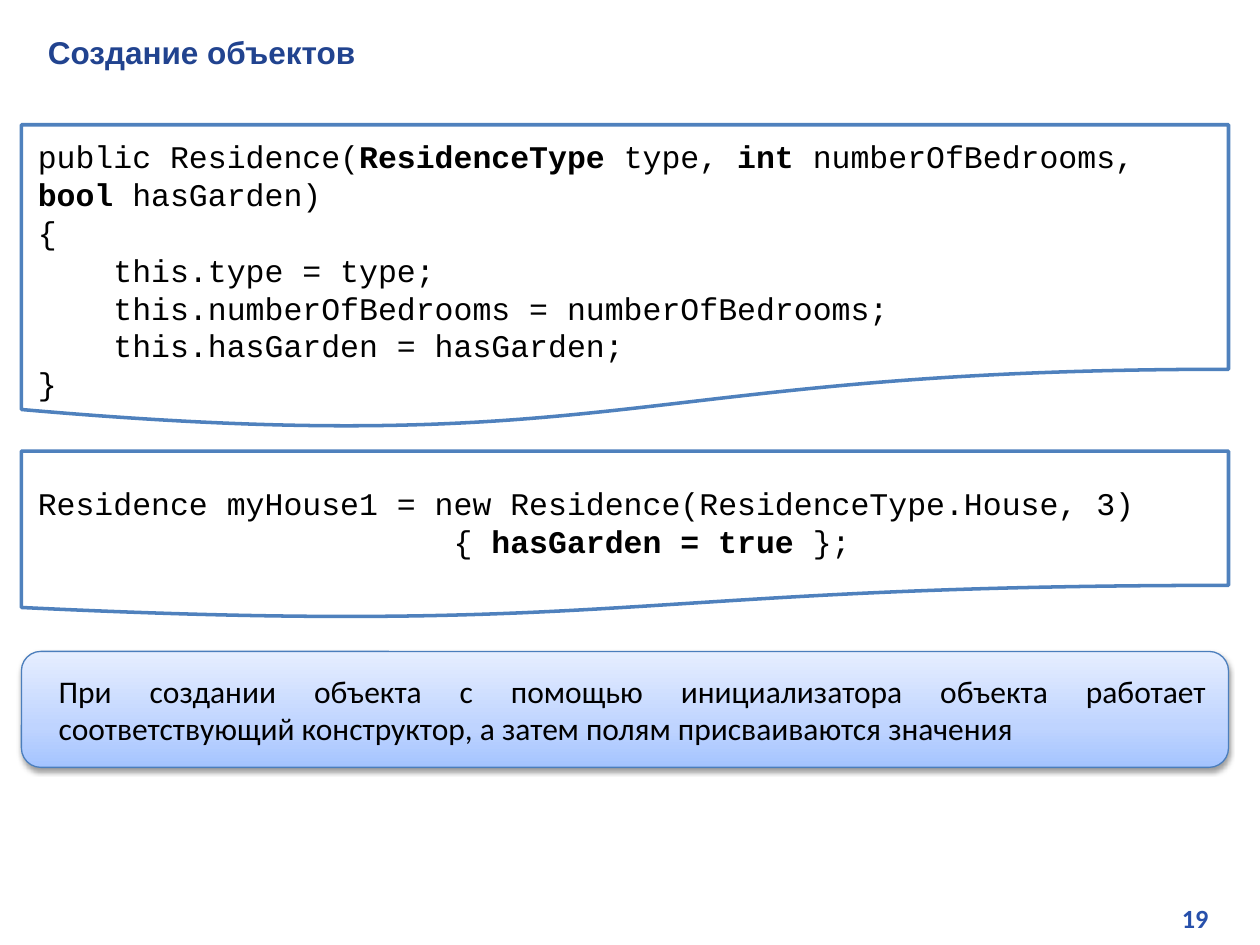
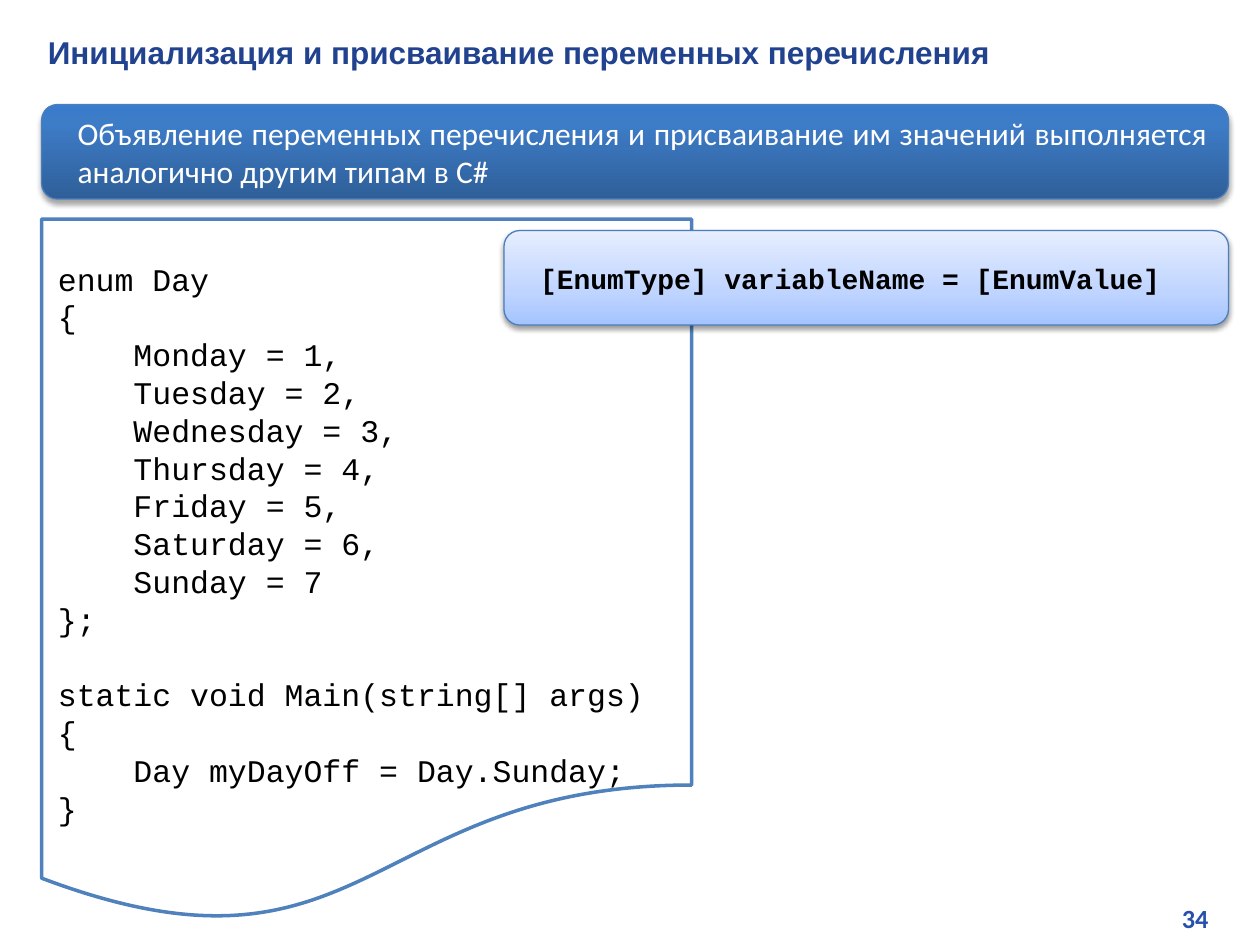
from dataclasses import dataclass

from lxml import etree
from pptx import Presentation
from pptx.dml.color import RGBColor
from pptx.enum.shapes import MSO_SHAPE as Shape
from pptx.enum.text import MSO_ANCHOR as Anchor, MSO_AUTO_SIZE as AutoSize, PP_ALIGN as Align
from pptx.oxml.ns import qn
from pptx.util import Inches, Pt


@dataclass(frozen=True)
class Theme:
    title: str = "21438F"
    page_number: str = "2750AB"
    text: str = "000000"
    light_text: str = "FFFFFF"
    paper: str = "FFFFFF"
    code_line: str = "4F81BD"
    callout_line: str = "4B7EBC"
    pale: tuple = ((0, "A4C4FF"), (35, "BFD4FF"), (100, "E6EEFF"))
    strong: tuple = ((0, "2F5F99"), (80, "3D7CC7"), (100, "3A7CCB"))
    title_font: str = "Arial"
    body_font: str = "Calibri"
    code_font: str = "Courier New"
    body_size: float = 18
    syntax_size: float = 16
    number_size: float = 15
    code_leading: float = 21.6


THEME = Theme()
RIGHT_EDGE = 9.75

CONSTRUCTOR = """public Residence(**ResidenceType **type, **int **numberOfBedrooms, **bool **hasGarden)
{
    this.type = type;
    this.numberOfBedrooms = numberOfBedrooms;
    this.hasGarden = hasGarden;
}"""

INITIALIZER = """Residence myHouse1 = new Residence(ResidenceType.House, 3)
                      { **hasGarden = true **};"""

ENUM_DAY = """enum Day
{
    Monday = 1,
    Tuesday = 2,
    Wednesday = 3,
    Thursday = 4,
    Friday = 5,
    Saturday = 6,
    Sunday = 7
};

static void Main(string[] args)
{
    Day myDayOff = Day.Sunday;
}"""


def color(value):
    return RGBColor.from_string(value)


def set_frame(frame, anchor=Anchor.TOP, left=0.13, top=0.06):
    frame.word_wrap = True
    frame.auto_size = AutoSize.NONE
    frame.vertical_anchor = anchor
    frame.margin_left, frame.margin_top = Inches(left), Inches(top)
    frame.margin_right, frame.margin_bottom = Inches(0.13), Inches(0.06)


def add_run(para, text, font, size, tint, bold=False):
    span = para.add_run()
    span.text = text
    span.font.name = font
    span.font.size = Pt(size)
    span.font.bold = bold
    span.font.color.rgb = color(tint)


def add_box(page, preset, left, top, width, height, line, line_width):
    box = page.shapes.add_shape(preset, Inches(left), Inches(top), Inches(width), Inches(height))
    box.shadow.inherit = False
    box.line.color.rgb = color(line)
    box.line.width = Pt(line_width)
    return box


def add_page(deck, title, number):
    page = deck.slides.add_slide(deck.slide_layouts.get_by_name("Title Only"))
    heading = page.shapes.title
    heading.left, heading.top = Inches(0.25), Inches(0.2)
    heading.width, heading.height = Inches(9.54), Inches(0.4)
    set_frame(heading.text_frame)
    para = heading.text_frame.paragraphs[0]
    para.alignment = Align.LEFT
    add_run(para, title, THEME.title_font, THEME.body_size, THEME.title, bold=True)

    box = page.shapes.add_textbox(Inches(7.6), Inches(7.1), Inches(2.12), Inches(0.38))
    set_frame(box.text_frame)
    para = box.text_frame.paragraphs[0]
    para.alignment = Align.RIGHT
    add_run(para, str(number), THEME.body_font, THEME.number_size, THEME.page_number, bold=True)
    return page


def add_code(page, code, left, top, width, height, inset):
    """Draw a code sheet; ** toggles bold, and an empty line becomes space before the next."""
    box = add_box(page, Shape.FLOWCHART_DOCUMENT, left, top, width, height, THEME.code_line, 2)
    box.fill.solid()
    box.fill.fore_color.rgb = color(THEME.paper)
    frame = box.text_frame
    set_frame(frame, top=inset)
    para, gap = frame.paragraphs[0], 0
    for index, line in enumerate(code.split("\n")):
        if not line:
            gap += THEME.code_leading
            continue
        if index:
            para = frame.add_paragraph()
        para.alignment = Align.LEFT
        para.line_spacing = Pt(THEME.code_leading)
        if gap:
            para.space_before = Pt(gap)
            gap = 0
        for part, text in enumerate(line.split("**")):
            if text:
                add_run(para, text, THEME.code_font, THEME.body_size, THEME.text, part % 2 == 1)


def fill_gradient(box, stops):
    """Fill from bottom to top with (percent, colour) stops."""
    box.fill.gradient()
    box.fill.gradient_angle = 90
    stop_list = box._element.spPr.find(".//" + qn("a:gsLst"))
    for stop in list(stop_list):
        stop_list.remove(stop)
    for percent, tint in stops:
        stop = etree.SubElement(stop_list, qn("a:gs"), pos=str(percent * 1000))
        etree.SubElement(stop, qn("a:srgbClr"), val=tint)


def add_shadow(box, opacity, distance):
    effects = box._element.spPr.find(qn("a:effectLst"))
    shadow = etree.SubElement(effects, qn("a:outerShdw"), blurRad=str(Pt(3.1)),
                              dist=str(Pt(distance)), dir="5400000", rotWithShape="0")
    tint = etree.SubElement(shadow, qn("a:srgbClr"), val="000000")
    etree.SubElement(tint, qn("a:alpha"), val=str(opacity * 1000))


def add_callout(page, text, left, top, height, strong=False, syntax=False):
    """Draw a rounded gradient band that reaches the right edge."""
    box = add_box(page, Shape.ROUNDED_RECTANGLE, left, top, RIGHT_EDGE - left, height,
                  THEME.callout_line, 0.75)
    fill_gradient(box, THEME.strong if strong else THEME.pale)
    add_shadow(box, *((35, 1.8) if strong else (38, 1.6)))
    set_frame(box.text_frame, Anchor.MIDDLE, left=0.25)
    para = box.text_frame.paragraphs[0]
    para.alignment = Align.JUSTIFY
    add_run(para, text,
            THEME.code_font if syntax else THEME.body_font,
            THEME.syntax_size if syntax else THEME.body_size,
            THEME.light_text if strong else THEME.text, bold=syntax)


def build_objects_page(deck):
    page = add_page(deck, "Создание объектов", 19)
    left = 0.17
    add_code(page, CONSTRUCTOR, left, 0.99, RIGHT_EDGE - left, 2.42, inset=0.1)
    add_code(page, INITIALIZER, left, 3.58, RIGHT_EDGE - left, 1.33, inset=0.26)
    add_callout(page, "При создании объекта с помощью инициализатора объекта работает "
                "соответствующий конструктор, а затем полям присваиваются значения",
                left, 5.17, 0.92)


def build_enum_page(deck):
    page = add_page(deck, "Инициализация и присваивание переменных перечисления", 34)
    left = 0.33
    add_callout(page, "Объявление переменных перечисления и присваивание им значений "
                "выполняется аналогично другим типам в C#", left, 0.83, 0.75, strong=True)
    add_code(page, ENUM_DAY, left, 1.74, 5.16, 5.6, inset=0.32)
    add_callout(page, "[EnumType] variableName = [EnumValue]", 4, 1.83, 0.75, syntax=True)


def main():
    deck = Presentation()
    deck.slide_width, deck.slide_height = Inches(10), Inches(7.5)
    build_objects_page(deck)
    build_enum_page(deck)
    deck.save("out.pptx")


if __name__ == "__main__":
    main()
